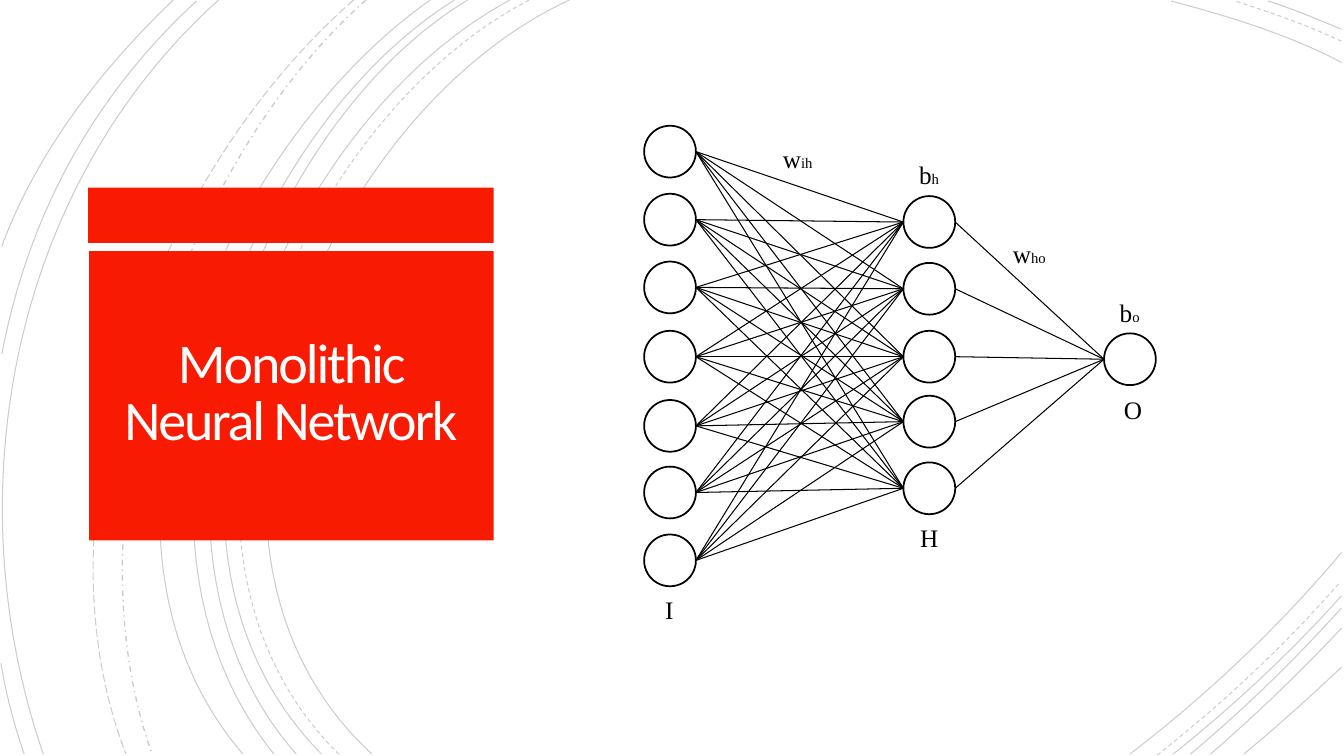
from dataclasses import dataclass
from itertools import pairwise, product

from lxml.etree import SubElement
from pptx import Presentation
from pptx.dml.color import RGBColor as Color
from pptx.enum.dml import MSO_LINE_DASH_STYLE as Dash
from pptx.enum.shapes import MSO_CONNECTOR_TYPE as Connector, MSO_SHAPE as Preset
from pptx.enum.text import MSO_ANCHOR as Anchor, MSO_AUTO_SIZE as AutoSize, PP_ALIGN as Align
from pptx.oxml.ns import qn
from pptx.slide import Slide
from pptx.util import Pt

Point = tuple[float, float]


@dataclass(frozen=True)
class Theme:
    red: Color = Color.from_string("F81B02")
    ink: Color = Color.from_string("000000")
    title: Color = Color.from_string("FFFEFF")
    title_font: str = "Calibri"
    label_font: str = "Times New Roman"
    title_size: float = 40
    label_size: float = 18
    subscript_size: float = 10.5
    thin: float = 0.75
    outline: float = 1.25
    arc_opacity: int = 20


@dataclass(frozen=True)
class Arc:
    start: Point
    control_out: Point
    control_in: Point
    end: Point
    dash: Dash = Dash.SOLID
    weight: float = 0.75

    def points(self) -> list[tuple[Pt, Pt]]:
        corners = (self.start, self.control_out, self.control_in, self.end)
        return [(Pt(x), Pt(y)) for x, y in corners]


@dataclass(frozen=True)
class Box:
    left: float
    top: float
    width: float
    height: float

    def lengths(self) -> list[Pt]:
        return [Pt(value) for value in (self.left, self.top, self.width, self.height)]


@dataclass(frozen=True)
class Layer:
    left: float
    centres: tuple[float, ...]


@dataclass(frozen=True)
class Label:
    text: str
    subscript: str
    box: Box


THEME = Theme()
NODE = 37
EDGE, BASE = 958.3, 538.6

ARCS = (
    Arc((406.8, 0), (226.8, 82.8), (103, 388.8), (265.7, BASE)),
    Arc((EDGE, 44.6), (920.2, 24.5), (877, 11.5), (836.6, 0.7)),
    Arc((807.1, BASE), (861.8, 496.8), (913.7, 447.8), (EDGE, 394.6)),
    Arc((378, 0), (205.2, 90), (88.6, 386.6), (241.9, BASE), Dash.DASH),
    Arc((EDGE, 29.5), (933.8, 18), (907.2, 8.6), (882, 0.7), Dash.DASH),
    Arc((826.6, 539.3), (873.4, 502.6), (918, 460.8), (957.6, 415.4), Dash.DASH),
    Arc((364.3, 0), (194.4, 91.4), (79.2, 386.6), (229.7, BASE)),
    Arc((EDGE, 20.9), (941, 13.7), (923.8, 6.5), (905.8, 0.7)),
    Arc((838.1, BASE), (880.6, 504.7), (921.6, 466.6), (EDGE, 425.5)),
    Arc((334.1, 0), (175.7, 95.8), (79.2, 389.5), (211.7, BASE)),
    Arc((850.3, BASE), (888.5, 506.9), (924.5, 471.6), (EDGE, 434.2)),
    Arc((324.7, 0), (166.3, 99.4), (69.8, 383.8), (195.8, BASE)),
    Arc((864.7, BASE), (897.1, 510.5), (928.8, 480.2), (EDGE, 448.6)),
    Arc((307.4, 0), (156.2, 105.8), (38.2, 380.9), (173.5, BASE)),
    Arc((888.5, BASE), (912.2, 519.1), (935.3, 498.2), (EDGE, 476.6)),
    Arc((261.4, 0), (126.7, 119.5), (46.8, 366.5), (108.7, BASE), Dash.DASH_DOT, 1),
    Arc((252.7, 0), (113, 121.7), (20.9, 359.3), (90, BASE), Dash.LONG_DASH),
    Arc((156.2, 0), (7.9, 133.2), (-33.1, 352.8), (31, BASE)),
    Arc((140.4, 0.7), (66.2, 69.1), (20.2, 154.1), (1.4, 252.7)),
    Arc((0.7, 473.8), (4.3, 496.1), (10.1, 517.7), (17.3, BASE)),
    Arc((123.8, 0), (72, 49.7), (26.6, 108), (1.4, 175.7)),
)
PANELS = (Box(63, 134, 289.6, 39.6), Box(63.6, 179.4, 289, 206.6))
TITLE_BOX = Box(69.8, 185, 275.8, 193.7)
LAYERS = (
    Layer(460.1, (108.3, 156.9, 205.3, 254.8, 304.2, 351.8, 400.3)),
    Layer(645.3, (158.6, 206.3, 254.8, 301.2, 348.8)),
    Layer(788.6, (256.6,)),
)
LABELS = (
    Label("I", "", Box(468, 421.2, 20.9, 28.8)),
    Label("H", "", Box(650.2, 369.4, 27.4, 28.8)),
    Label("O", "", Box(795.6, 277.9, 27.4, 28.8)),
    Label("w", "ih", Box(552.2, 98.6, 37.4, 28.8)),
    Label("w", "ho", Box(716.4, 167, 38.2, 28.8)),
    Label("b", "h", Box(649.4, 110.2, 28.8, 28.8)),
    Label("b", "o", Box(792.7, 208.8, 28.8, 28.8)),
)


def apply(target: object, values: dict[str, object]) -> None:
    for name, value in values.items():
        setattr(target, name, value)


def draw_arc(slide: Slide, arc: Arc) -> None:
    start, *others = arc.points()
    builder = slide.shapes.build_freeform(*start)
    builder.add_line_segments(others, close=False)
    shape = builder.convert_to_shape()
    outline = next(shape.element.iter(qn("a:path")))
    segments = outline.findall(qn("a:lnTo"))
    curve = SubElement(outline, qn("a:cubicBezTo"))
    for segment in segments:
        curve.append(segment[0])
        outline.remove(segment)
    shape.shadow.inherit = False
    shape.fill.background()
    shape.line.color.rgb = THEME.ink
    apply(shape.line, {"width": Pt(arc.weight), "dash_style": arc.dash})
    for color in shape.element.iter(qn("a:srgbClr")):
        SubElement(color, qn("a:alpha"), val=str(THEME.arc_opacity * 1000))


def draw_panel(slide: Slide, box: Box) -> None:
    shape = slide.shapes.add_shape(Preset.RECTANGLE, *box.lengths())
    shape.shadow.inherit = False
    shape.fill.solid()
    shape.fill.fore_color.rgb = THEME.red
    shape.line.fill.background()


def draw_node(slide: Slide, left: float, centre: float) -> None:
    box = Box(left, centre - NODE / 2, NODE, NODE)
    shape = slide.shapes.add_shape(Preset.OVAL, *box.lengths())
    shape.shadow.inherit = False
    shape.fill.background()
    shape.line.color.rgb = THEME.ink
    shape.line.width = Pt(THEME.outline)


def draw_link(slide: Slide, start: Point, end: Point) -> None:
    ends = [Pt(value) for value in (*start, *end)]
    connector = slide.shapes.add_connector(Connector.STRAIGHT, *ends)
    connector.line.color.rgb = THEME.ink
    connector.line.width = Pt(THEME.thin)
    SubElement(connector.element.spPr, qn("a:effectLst"))


def draw_label(slide: Slide, label: Label) -> None:
    frame = slide.shapes.add_textbox(*label.box.lengths()).text_frame
    apply(frame, {"word_wrap": False, "auto_size": AutoSize.SHAPE_TO_FIT_TEXT})
    parts = ((label.text, THEME.label_size), (label.subscript, THEME.subscript_size))
    for text, size in parts:
        if text:
            run = frame.paragraphs[0].add_run()
            run.text = text
            apply(run.font, {"name": THEME.label_font, "size": Pt(size)})
            run.font.color.rgb = THEME.ink


def draw_title(slide: Slide, text: str) -> None:
    frame = slide.shapes.add_textbox(*TITLE_BOX.lengths()).text_frame
    margins = {f"margin_{side}": Pt(18) for side in ("left", "top", "right", "bottom")}
    apply(frame, {"word_wrap": True, "vertical_anchor": Anchor.MIDDLE, **margins})
    paragraph = frame.paragraphs[0]
    apply(paragraph, {"alignment": Align.CENTER, "line_spacing": 0.85})
    run = paragraph.add_run()
    run.text = text
    apply(run.font, {"name": THEME.title_font, "size": Pt(THEME.title_size)})
    run.font.color.rgb = THEME.title
    next(paragraph._p.iter(qn("a:rPr"))).set("spc", "-150")


def main() -> None:
    presentation = Presentation()
    apply(presentation, {"slide_width": Pt(960), "slide_height": Pt(540)})
    slide = presentation.slides.add_slide(presentation.slide_layouts[6])
    for arc in ARCS:
        draw_arc(slide, arc)
    for panel in PANELS:
        draw_panel(slide, panel)
    for layer in LAYERS:
        for centre in layer.centres:
            draw_node(slide, layer.left, centre)
    for source, target in pairwise(LAYERS):
        for end, start in product(target.centres, source.centres):
            draw_link(slide, (source.left + NODE, start), (target.left, end))
    for label in LABELS:
        draw_label(slide, label)
    draw_title(slide, "Monolithic Neural Network")
    presentation.save("out.pptx")


if __name__ == "__main__":
    main()
